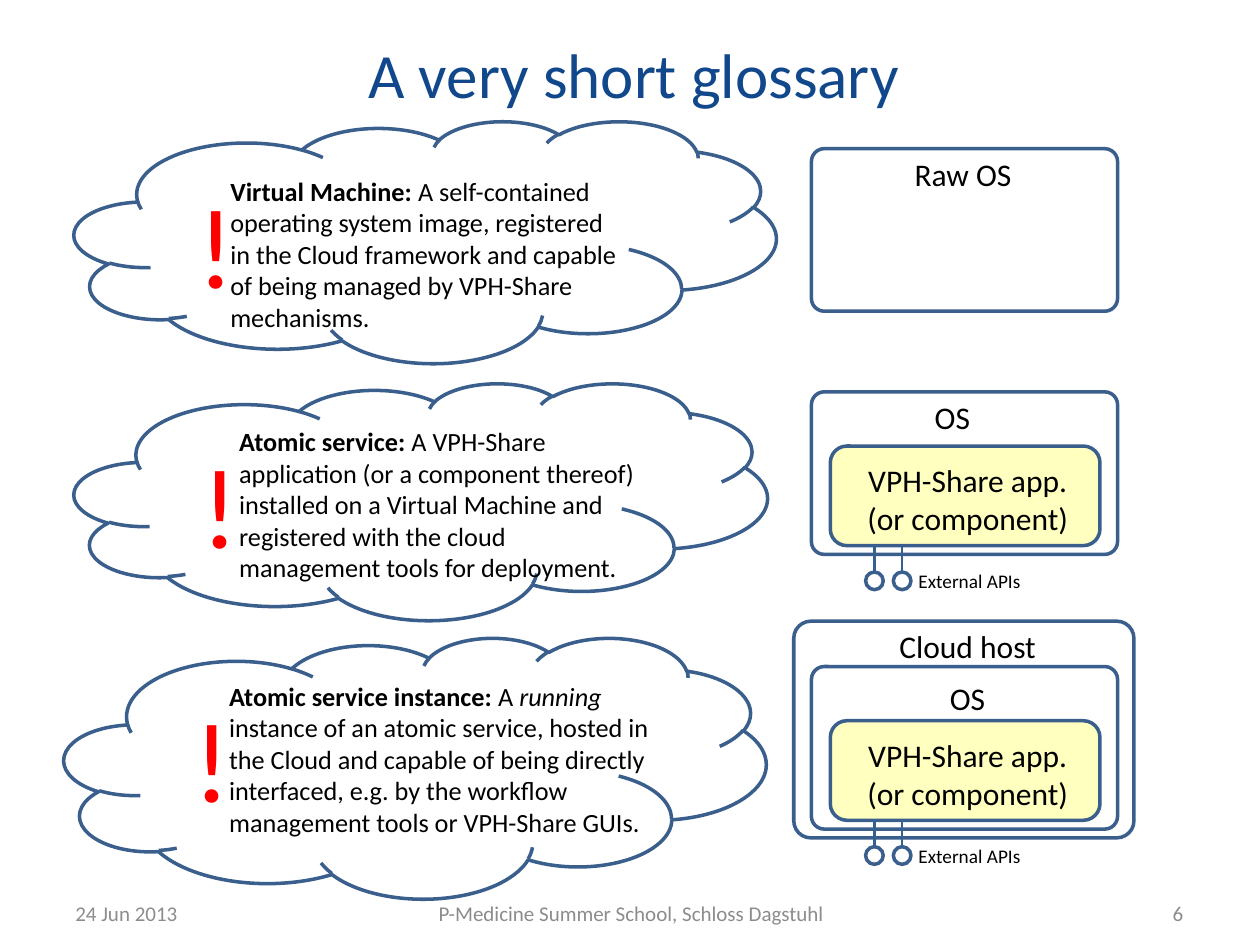
from lxml import etree
from pptx import Presentation
from pptx import util as u
from pptx.dml.color import RGBColor
from pptx.enum import shapes, text
from pptx.oxml.ns import qn

EDGE = RGBColor(0x3A, 0x5F, 0x8C)
STEM = RGBColor(0x37, 0x60, 0x92)
BLUE = RGBColor(0x11, 0x47, 0x8B)
BLACK = RGBColor(0, 0, 0)
RED = RGBColor(0xFF, 0, 0)
YELLOW = RGBColor(0xFF, 0xFF, 0)
GREY = RGBColor(0x8C, 0x8C, 0x8C)
LEFT, MID, RIGHT = text.PP_ALIGN.LEFT, text.PP_ALIGN.CENTER, text.PP_ALIGN.RIGHT
KIND = shapes.MSO_SHAPE

deck = Presentation()
deck.slide_width, deck.slide_height = u.Inches(10), u.Inches(7.5)
slide = deck.slides.add_slide(deck.slide_layouts[6])

# Grid of 100 columns by 75 rows; every place below is in these units.
COL, ROW = deck.slide_width / 100, deck.slide_height / 75


def draw(kind, x, y, w, h, bend=None):
    """Add an outlined, unfilled shape; bend is the corner rounding."""
    form = slide.shapes.add_shape(kind, int(x * COL), int(y * ROW), int(w * COL), int(h * ROW))
    form.shadow.inherit = False
    form.fill.background()
    form.line.color.rgb = EDGE
    form.line.width = u.Pt(2)
    if bend:
        form.adjustments[0] = bend
    return form


def write(lines, x, y, w, h, size, ink=BLACK, align=LEFT, wrap=False, fixed=False):
    """Add a text box; each line is a list of (words, style) runs."""
    box = slide.shapes.add_textbox(int(x * COL), int(y * ROW), int(w * COL), int(h * ROW))
    frame = box.text_frame
    frame.word_wrap = wrap
    if fixed:
        frame.vertical_anchor = text.MSO_ANCHOR.MIDDLE
    else:
        frame.auto_size = text.MSO_AUTO_SIZE.SHAPE_TO_FIT_TEXT
    for i, line in enumerate(lines):
        para = frame.paragraphs[0] if i == 0 else frame.add_paragraph()
        para.alignment = align
        for words, style in line:
            run = para.add_run()
            run.text = words
            font = run.font
            font.name, font.size, font.color.rgb = "Calibri", u.Pt(size), ink
            font.bold, font.italic = style == "b", style == "i"


# Title and footer
for words, x, y, w, h, size, ink, align in [
    ("A very short glossary", 12.1, 0.2, 76.4, 11.3, 36, BLUE, MID),
    ("24 Jun 2013", 5, 70.5, 23.3, 4, 12, GREY, LEFT),
    ("P-Medicine Summer School, Schloss Dagstuhl", 30, 70.5, 40.2, 4, 12, GREY, MID),
    ("6", 88.4, 70.5, 6.5, 4, 12, GREY, RIGHT),
]:
    write([[(words, "")]], x, y, w, h, size, ink, align, wrap=True, fixed=True)

# Glossary clouds: outline, place of the words, place of the mark, runs
terms = [
    ((5.9, 9.6, 55.7, 19.2), (17.3, 13.4, 33.3), (14.7, 13.4), [
        ("Virtual Machine: ", "b"),
        ("A self-contained operating system image, registered in the Cloud "
         "framework and capable of being managed by VPH-Share mechanisms.", "")]),
    ((5.9, 30.4, 55, 18.8), (18, 33.3, 34.5), (15, 34), [
        ("Atomic service: ", "b"),
        ("A VPH-Share application (or a component thereof) installed on a Virtual "
         "Machine and registered with the cloud management tools for deployment.", "")]),
    ((5.1, 50.6, 55.7, 20.7), (17.2, 53.5, 37.1), (14.4, 54.2), [
        ("Atomic service instance: ", "b"), ("A ", ""), ("running", "i"),
        (" instance of an atomic service, hosted in the Cloud and capable of being "
         "directly interfaced, e.g. by the workflow management tools or VPH-Share GUIs.", "")]),
]
for cloud, words, mark, runs in terms:
    draw(KIND.CLOUD, *cloud)
    write([runs], *words, 13.6, 15, wrap=True)
    write([[("!", "")]], *mark, 4.5, 11.9, 65, RED)

# Frames of the three stacks, with their labels
ROUND = KIND.ROUNDED_RECTANGLE
for label, frame, spot in [
    ("Raw OS", (64.4, 11.8, 24.3, 12.9), (71.6, 11.8, 9.8)),
    ("OS", (64.4, 31.1, 24.3, 12.9), (73.2, 31.1, 4.8)),
    ("OS", (64.4, 52.9, 24.3, 12.9), (74.4, 53.4, 4.8)),
    ("Cloud host", (63, 49.3, 27, 17.2), (70.4, 49.3, 13)),
]:
    draw(ROUND, *frame, bend=0.079)
    write([[(label, "")]], *spot, 4, 18)

# Application with its external interfaces, in the lower two stacks
for top in (35.4, 57.2):
    app = draw(ROUND, 65.9, top, 21.4, 7.9)
    app.fill.solid()
    app.fill.fore_color.rgb = YELLOW
    tint = app.fill._xPr.find(qn("a:solidFill"))[0]
    etree.SubElement(tint, qn("a:alpha")).set("val", "25000")
    write([[("VPH-Share app.", "")], [("(or component)", "")]],
          67.7, top + 0.7, 18.2, 7.1, 18, align=MID)
    for x in (69.4, 71.6):
        ring = draw(KIND.OVAL, x - 0.7, top + 10, 1.4, 1.4)
        stem = slide.shapes.add_connector(
            shapes.MSO_CONNECTOR.STRAIGHT, int(x * COL), int((top + 7.9) * ROW),
            int(x * COL), int((top + 10) * ROW))
        stem.end_connect(ring, 0)
        stem.line.color.rgb = STEM
        stem.line.width = u.Pt(1.5)
        etree.SubElement(stem._element.spPr, qn("a:effectLst"))
    write([[("External APIs", "")]], 71.9, top + 9.3, 10.2, 2.9, 11)

deck.save("out.pptx")
